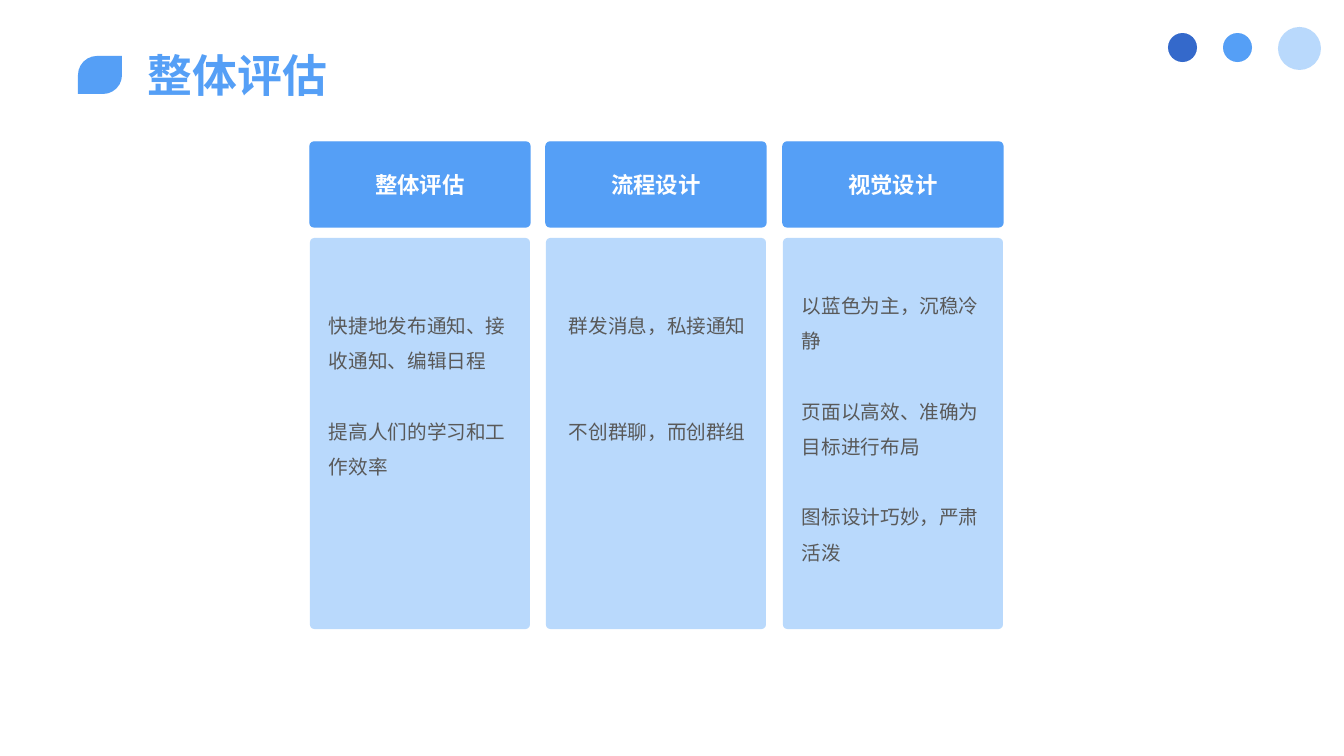
from pptx import Presentation
from pptx.dml.color import RGBColor
from pptx.enum.shapes import MSO_SHAPE
from pptx.enum.text import MSO_ANCHOR, PP_ALIGN
from pptx.oxml.ns import qn
from pptx.util import Pt

BLUE, DARK, PALE = "559FF6", "3469CB", "B9D9FC"
WHITE, GREY = "FFFFFF", "595959"
FONT = "Noto Sans CJK SC"


def px(n):
    return round(n * 914400 / 100.8)


def rgb(value):
    return RGBColor.from_string(value)


def write(tf, *lines, size, color, bold=False, align=PP_ALIGN.LEFT,
          anchor=MSO_ANCHOR.TOP, spacing=None, gap=0):
    """Put one paragraph per line into a text frame."""
    tf.word_wrap = True
    tf.vertical_anchor = anchor
    for i, line in enumerate(lines):
        p = tf.paragraphs[0] if i == 0 else tf.add_paragraph()
        p.alignment = align
        p.line_spacing = spacing
        if i:
            p.space_before = Pt(gap)
        r = p.add_run()
        r.text = line
        f = r.font
        f.name, f.size, f.bold = FONT, Pt(size), bold
        f.color.rgb = rgb(color)
        ea = r._r.get_or_add_rPr().makeelement(qn("a:ea"), {"typeface": FONT})
        f._element.find(qn("a:latin")).addnext(ea)


class Deck:
    def __init__(self, width, height):
        self.prs = Presentation()
        self.prs.slide_width, self.prs.slide_height = px(width), px(height)
        self.s = self.prs.slides.add_slide(self.prs.slide_layouts[6])

    def shape(self, kind, x, y, w, h, fill, line=None, adj=()):
        sp = self.s.shapes.add_shape(kind, px(x), px(y), px(w), px(h))
        sp.shadow.inherit = False
        sp.fill.solid()
        sp.fill.fore_color.rgb = rgb(fill)
        if line:
            sp.line.color.rgb = rgb(line)
            sp.line.width = Pt(1)
        else:
            sp.line.fill.background()
        for i, value in enumerate(adj):
            sp.adjustments[i] = value
        return sp

    def text(self, x, y, w, h, *lines, **style):
        sp = self.s.shapes.add_textbox(px(x), px(y), px(w), px(h))
        write(sp.text_frame, *lines, **style)


def main():
    deck = Deck(1344, 756)

    # Title with leaf marker
    deck.text(138, 43, 574, 65, "整体评估", size=32, color=BLUE, bold=True)
    deck.shape(MSO_SHAPE.ROUND_2_DIAG_RECTANGLE, 78, 56, 44, 38, BLUE,
               adj=(0.5, 0))

    # Corner dots
    for x, y, d, color in ((1168, 33, 29, DARK), (1223, 33, 29, BLUE),
                           (1278, 27, 43, PALE)):
        deck.shape(MSO_SHAPE.OVAL, x, y, d, d, color)

    # Columns: heading, text left, top, width, height, paragraph gap, paragraphs
    columns = (
        ("整体评估", 319, 297, 203, 184, 25.2,
         ("快捷地发布通知、接收通知、编辑日程", "提高人们的学习和工作效率")),
        ("流程设计", 559, 297, 229, 148, 50.4,
         ("群发消息，私接通知", "不创群聊，而创群组")),
        ("视觉设计", 792, 277, 212, 291, 25.2,
         ("以蓝色为主，沉稳冷静", "页面以高效、准确为目标进行布局",
          "图标设计巧妙，严肃活泼")),
    )
    for i, (heading, left, top, width, height, gap, lines) in enumerate(columns):
        x = 310 + round(236.5 * i)
        head = deck.shape(MSO_SHAPE.ROUNDED_RECTANGLE, x, 142, 220, 85, BLUE,
                          line=BLUE, adj=(0.05,))
        write(head.text_frame, heading, size=16, color=WHITE, bold=True,
              align=PP_ALIGN.CENTER, anchor=MSO_ANCHOR.MIDDLE)
        deck.shape(MSO_SHAPE.ROUNDED_RECTANGLE, x, 238, 220, 391, PALE,
                   adj=(0.02,))
        deck.text(left, top, width, height, *lines, size=14, color=GREY,
                  spacing=1.5, gap=gap)

    deck.prs.save("out.pptx")


if __name__ == "__main__":
    main()
